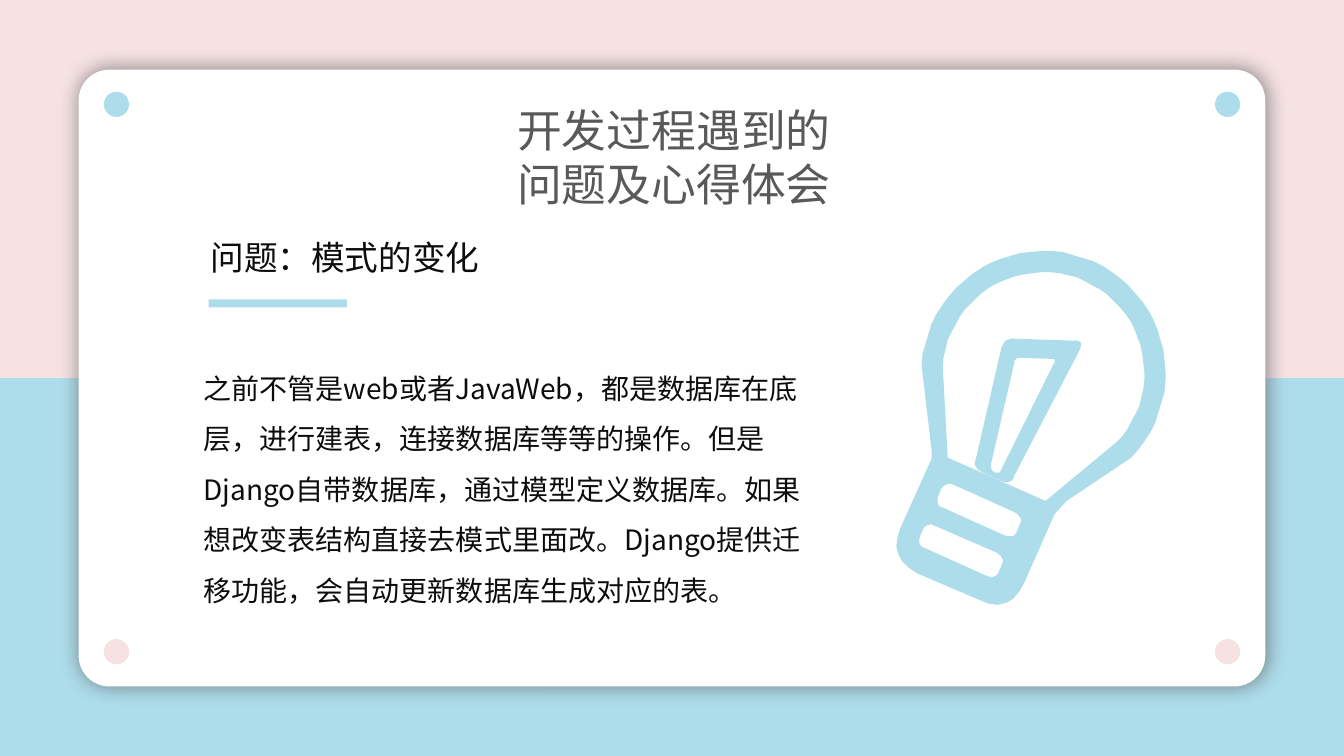
from dataclasses import dataclass
from itertools import product
from math import cos, dist, radians, sin

from lxml.etree import SubElement
from pptx import Presentation
from pptx.dml.color import RGBColor
from pptx.enum.shapes import MSO_SHAPE as Preset
from pptx.enum.text import MSO_AUTO_SIZE as AutoSize
from pptx.oxml.ns import qn
from pptx.util import Pt

PX = 9144  # EMU in one px, 100 px to the inch
SLIDE_W, SLIDE_H = 1333, 750


@dataclass(frozen=True)
class Theme:
    pink: str = "F6E2E3"
    blue: str = "ADDDEB"
    white: str = "FFFFFF"
    grey: str = "595959"
    ink: str = "0D0D0D"
    title_font: str = "Noto Sans CJK JP"
    body_font: str = "Noto Sans CJK SC"
    title_size: int = 32
    heading_size: int = 24
    body_size: int = 20


THEME = Theme()


def to_emu(*lengths):
    return [length * PX for length in lengths]


def paint(shape, color):
    shape.shadow.inherit = False
    shape.fill.solid()
    shape.fill.fore_color.rgb = RGBColor.from_string(color)
    shape.line.fill.background()
    return shape


def add_block(slide, preset, box, color):
    return paint(slide.shapes.add_shape(preset, *to_emu(*box)), color)


def add_glow(shape, color, opacity, blur, distance):
    effects = shape._element.spPr.find(qn("a:effectLst"))
    shadow = SubElement(effects, qn("a:outerShdw"), blurRad=str(Pt(blur)),
                        dist=str(Pt(distance)), dir="0", algn="ctr", rotWithShape="0")
    tint = SubElement(shadow, qn("a:srgbClr"), val=color)
    SubElement(tint, qn("a:alpha"), val=str(opacity * 1000))


def add_text(slide, text, *, box, size, font, color, spacing=None):
    frame = slide.shapes.add_textbox(*to_emu(*box)).text_frame
    frame.word_wrap = True
    frame.auto_size = AutoSize.SHAPE_TO_FIT_TEXT
    paragraph = frame.paragraphs[0]
    paragraph.line_spacing = spacing
    run = paragraph.add_run()
    run.text = text
    run.font.size = Pt(size)
    run.font.name = font
    run.font.color.rgb = RGBColor.from_string(color)
    SubElement(run.font._element, qn("a:ea"), typeface=font)


def dome(radius):
    """Arc over the top of a circle, open by 140 degrees at the bottom."""
    return [(radius * cos(radians(angle)), radius * sin(radians(angle)))
            for angle in range(160, 381, 5)]


def blend(start, end, share):
    return tuple(a + (b - a) * share for a, b in zip(start, end))


def rounded(corners, radius, steps=6):
    """Polygon whose corners are replaced by quadratic curves."""
    points = []
    for i, corner in enumerate(corners):
        before, after = corners[i - 1], corners[(i + 1) % len(corners)]
        entry = blend(corner, before, min(0.5, radius / dist(corner, before)))
        leave = blend(corner, after, min(0.5, radius / dist(corner, after)))
        for step in range(steps + 1):
            share = step / steps
            points.append(blend(blend(entry, corner, share),
                                blend(corner, leave, share), share))
    return points


def box_corners(left, top, right, bottom):
    return [(left, top), (right, top), (right, bottom), (left, bottom)]


def add_bulb(slide, center, tilt, color):
    """Upright bulb around its globe's center, then tilted clockwise.

    Contours nested in one another alternate between filled and empty.
    """
    globe_radius, glass_radius = 121, 100
    neck, base_bottom = 115, 232
    base_half, glass_half = 67, 53

    base = rounded(box_corners(-base_half, neck, base_half, base_bottom), 34)
    lower_base = [point for point in base if point[1] > (neck + base_bottom) / 2]
    body = dome(globe_radius) + [(base_half + 6, neck - 8), (base_half, neck + 8)]
    body += lower_base + [(-base_half, neck + 8), (-base_half - 3, neck)]
    glass = dome(glass_radius) + [(glass_half, neck), (-glass_half, neck)]
    filament = rounded([(-25, neck), (-50, -15), (24, -46), (15, neck)], 10)
    filament_gap = rounded([(-10, neck - 6), (-32, -3), (6, -18), (0, neck - 4)], 6)
    band_height, band_pitch = 25, 44
    bands = [rounded(box_corners(-46, top, 40, top + band_height), 10)
             for top in (neck + 23, neck + 23 + band_pitch)]

    def place(point):
        x, y = point
        turn = radians(tilt)
        return (round(center[0] + x * cos(turn) - y * sin(turn)),
                round(center[1] + x * sin(turn) + y * cos(turn)))

    builder = None
    for contour in [body, glass, filament, filament_gap, *bands]:
        start, *rest = map(place, contour)
        if builder is None:
            builder = slide.shapes.build_freeform(*start, scale=PX)
        else:
            builder.move_to(*start)
        builder.add_line_segments(rest, close=True)
    return paint(builder.convert_to_shape(), color)


def add_card(slide):
    left, top, width, height = 78, 69, 1177, 612
    card = add_block(slide, Preset.ROUNDED_RECTANGLE, (left, top, width, height), THEME.white)
    card.adjustments[0] = 0.05
    add_glow(card, THEME.grey, opacity=70, blur=14, distance=1)

    # A dot in each corner: blue above, pink below
    dot, inset = 25, 25
    columns = [left + inset, left + width - inset - dot]
    rows = [(top + 22, THEME.blue), (top + height - 22 - dot, THEME.pink)]
    for (row, color), column in product(rows, columns):
        add_block(slide, Preset.OVAL, (column, row, dot, dot), color)


def main():
    deck = Presentation()
    deck.slide_width, deck.slide_height = to_emu(SLIDE_W, SLIDE_H)
    slide = deck.slides.add_slide(deck.slide_layouts[6])

    # Two-tone backdrop and card
    slide.background.fill.solid()
    slide.background.fill.fore_color.rgb = RGBColor.from_string(THEME.pink)
    half = SLIDE_H // 2
    add_block(slide, Preset.RECTANGLE, (0, half, SLIDE_W, half), THEME.blue)
    add_card(slide)

    # Title
    add_text(slide, "开发过程遇到的问题及心得体会", box=(503, 97, 346, 118),
             size=THEME.title_size, font=THEME.title_font, color=THEME.grey)

    # Body
    add_text(slide, "之前不管是web或者JavaWeb，都是数据库在底层，进行建表，"
             "连接数据库等等的操作。但是Django自带数据库，通过模型定义数据库。"
             "如果想改变表结构直接去模式里面改。Django提供迁移功能，"
             "会自动更新数据库生成对应的表。", box=(192, 347, 622, 257),
             size=THEME.body_size, font=THEME.body_font, color=THEME.ink, spacing=1.5)

    # Underlined heading
    add_text(slide, "问题：模式的变化", box=(199, 230, 316, 50),
             size=THEME.heading_size, font=THEME.title_font, color=THEME.ink)
    add_block(slide, Preset.RECTANGLE, (207, 297, 137, 8), THEME.blue)

    # Light bulb
    add_bulb(slide, center=(1035, 370), tilt=24, color=THEME.blue)

    deck.save("out.pptx")


if __name__ == "__main__":
    main()
